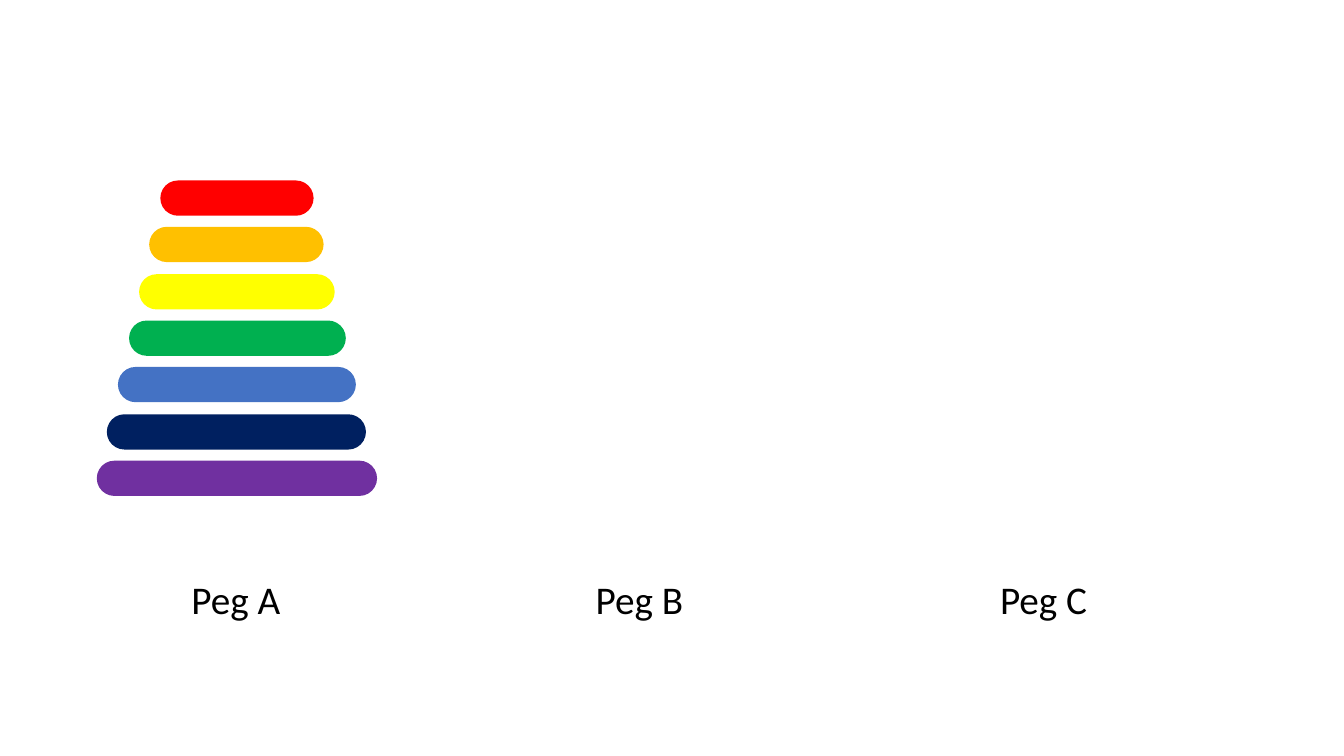
from dataclasses import dataclass

from pptx import Presentation
from pptx import util as u
from pptx.dml.color import RGBColor
from pptx.enum import shapes, text

PX = 9144  # EMU in one px, 100 px to the inch


@dataclass(frozen=True)
class Theme:
    font: str = "Calibri"
    label_size: int = 28
    label_color: str = "000000"
    # Disc colours, smallest disc first
    discs: tuple = ("FF0000", "FFC000", "FFFF00", "00B050",
                    "4472C4", "002060", "7030A0")


THEME = Theme()


def px(*lengths):
    return [u.Emu(round(length) * PX) for length in lengths]


def set_attributes(target, values):
    for name, value in values.items():
        setattr(target, name, value)


def add_disc(slide, center, top, width, color):
    shape = slide.shapes.add_shape(
        shapes.MSO_SHAPE.ROUNDED_RECTANGLE,
        *px(center - width / 2, top, width, 35))
    shape.adjustments[0] = 0.5
    shape.shadow.inherit = False
    shape.fill.solid()
    shape.fill.fore_color.rgb = RGBColor.from_string(color)
    shape.line.fill.background()


def add_tower(slide, center, top, spread):
    """Stack the discs, each wider than the one above it."""
    pitch = spread / (len(THEME.discs) - 1)
    for index, color in enumerate(THEME.discs):
        add_disc(slide, center, top + index * pitch, 152 + index * 21, color)


def add_label(slide, wording, left, top):
    box = slide.shapes.add_textbox(*px(left, top, 108, 57))
    set_attributes(box.text_frame, {
        "word_wrap": False,
        "auto_size": text.MSO_AUTO_SIZE.SHAPE_TO_FIT_TEXT,
    })
    paragraph = box.text_frame.paragraphs[0]
    run = paragraph.add_run()
    run.text = wording
    set_attributes(run.font, {
        "name": THEME.font,
        "size": u.Pt(THEME.label_size),
    })
    run.font.color.rgb = RGBColor.from_string(THEME.label_color)


def main():
    presentation = Presentation()
    presentation.slide_width, presentation.slide_height = px(1333, 750)
    slide = presentation.slides.add_slide(presentation.slide_layouts[6])

    # Discs on the first peg
    add_tower(slide, center=235, top=179, spread=278)

    # Peg names, evenly spaced
    for index, letter in enumerate("ABC"):
        add_label(slide, f"Peg {letter}", 180 + index * 401, 566)

    presentation.save("out.pptx")


if __name__ == "__main__":
    main()
